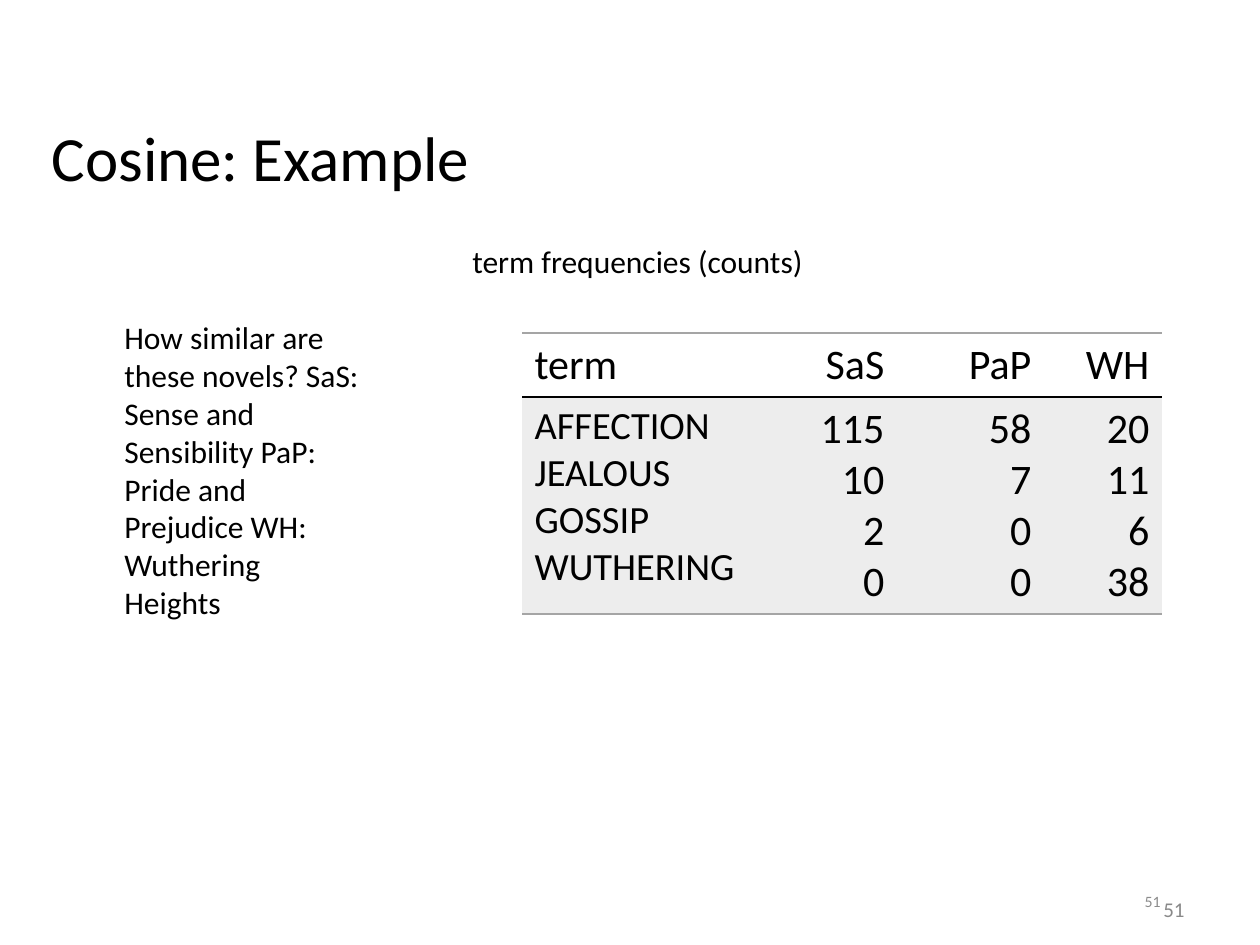
"""Build the cosine example slide with its table of term frequencies."""
from dataclasses import dataclass

from lxml.etree import SubElement
from pptx import Presentation
from pptx.dml.color import RGBColor
from pptx.enum.text import MSO_ANCHOR, PP_ALIGN
from pptx.oxml.ns import qn
from pptx.util import Emu, Pt

EMU_PER_PX = 914400 / 126
FONT = "Calibri"
COLORS = {
    "text": "000000",
    "footer": "898989",
    "number": "8C8C8C",
    "rule": "A5A5A5",
    "band": "EDEDED",
}
NOVEL_LINES = [
    "How similar are",
    "these novels? SaS:",
    "Sense and",
    "Sensibility PaP:",
    "Pride and",
    "Prejudice WH:",
    "Wuthering",
    "Heights",
]


@dataclass
class Area:
    left: int
    top: int
    width: int
    height: int

    def emu(self) -> list[Emu]:
        return [px(side) for side in (self.left, self.top, self.width, self.height)]


@dataclass
class Column:
    heading: str
    entries: list[str]
    width: int
    size: int = 24
    align: PP_ALIGN = PP_ALIGN.RIGHT


@dataclass
class PageNumber:
    area: Area
    size: int
    color: str


COLUMNS = [
    Column("term", ["AFFECTION", "JEALOUS", "GOSSIP", "WUTHERING"], 246, 22, PP_ALIGN.LEFT),
    Column("SaS", ["115", "10", "2", "0"], 129),
    Column("PaP", ["58", "7", "0", "0"], 147),
    Column("WH", ["20", "11", "6", "38"], 118),
]
PAGE_NUMBERS = [
    PageNumber(Area(903, 892, 294, 34), 12, "footer"),
    PageNumber(Area(890, 876, 283, 50), 9, "number"),
]


def px(length: int) -> Emu:
    return Emu(round(length * EMU_PER_PX))


def write(frame, text: str, *, size: int, color: str = "text",
          align: PP_ALIGN = PP_ALIGN.LEFT, indent: int = 0, before: int = 0) -> None:
    """Fill the first paragraph if it is empty, otherwise add one."""
    para = frame.paragraphs[-1]
    if para.runs:
        para = frame.add_paragraph()
    para.alignment = align
    if indent:
        para._p.get_or_add_pPr().set("marL", str(px(indent)))
    if before:
        para.space_before = Pt(before)
    span = para.add_run()
    span.text = text
    span.font.name = FONT
    span.font.size = Pt(size)
    span.font.color.rgb = RGBColor.from_string(COLORS[color])


def add_box(page, area: Area, anchor: MSO_ANCHOR = MSO_ANCHOR.TOP):
    frame = page.shapes.add_textbox(*area.emu()).text_frame
    frame.word_wrap = True
    frame.vertical_anchor = anchor
    return frame


def add_title(page, text: str, area: Area) -> None:
    title = page.shapes.title
    title.left, title.top, title.width, title.height = area.emu()
    title.text_frame.vertical_anchor = MSO_ANCHOR.BOTTOM
    title.text_frame.margin_bottom = 0
    write(title.text_frame, text, size=36)


def style_cell(cell, top: str, bottom: str, fill: str | None) -> None:
    properties = cell._tc.get_or_add_tcPr()
    for side, color in (("L", None), ("R", None), ("T", top), ("B", bottom)):
        line = SubElement(properties, qn(f"a:ln{side}"), w=str(Pt(1)))
        if color is None:
            SubElement(line, qn("a:noFill"))
        else:
            paint = SubElement(line, qn("a:solidFill"))
            SubElement(paint, qn("a:srgbClr"), val=COLORS[color])
    if fill is None:
        cell.fill.background()
    else:
        cell.fill.solid()
        cell.fill.fore_color.rgb = RGBColor.from_string(COLORS[fill])


def add_counts(page, area: Area, row_heights: tuple[int, int]) -> None:
    table = page.shapes.add_table(2, len(COLUMNS), *area.emu()).table
    table.horz_banding = False
    for row, height in zip(table.rows, row_heights):
        row.height = px(height)
    for index, column in enumerate(COLUMNS):
        table.columns[index].width = px(column.width)
        heading, body = table.cell(0, index), table.cell(1, index)
        write(heading.text_frame, column.heading, size=24, align=column.align)
        for entry in column.entries:
            write(body.text_frame, entry, size=column.size, align=column.align)
        style_cell(heading, "rule", "text", None)
        style_cell(body, "text", "rule", "band")


def main() -> None:
    deck = Presentation()
    deck.slide_width, deck.slide_height = px(1260), px(945)
    page = deck.slides.add_slide(deck.slide_layouts[5])
    add_title(page, "Cosine: Example", Area(39, 1, 1182, 193))
    notes = add_box(page, Area(49, 236, 1123, 501))
    write(notes, "term frequencies (counts)", size=18, indent=411)
    for index, line in enumerate(NOVEL_LINES):
        write(notes, line, size=18, indent=63, before=0 if index else 22)
    for number in PAGE_NUMBERS:
        frame = add_box(page, number.area, MSO_ANCHOR.MIDDLE)
        write(frame, "51", size=number.size, color=number.color, align=PP_ALIGN.RIGHT)
    add_counts(page, Area(522, 333, 640, 281), (64, 217))
    deck.save("out.pptx")


if __name__ == "__main__":
    main()
